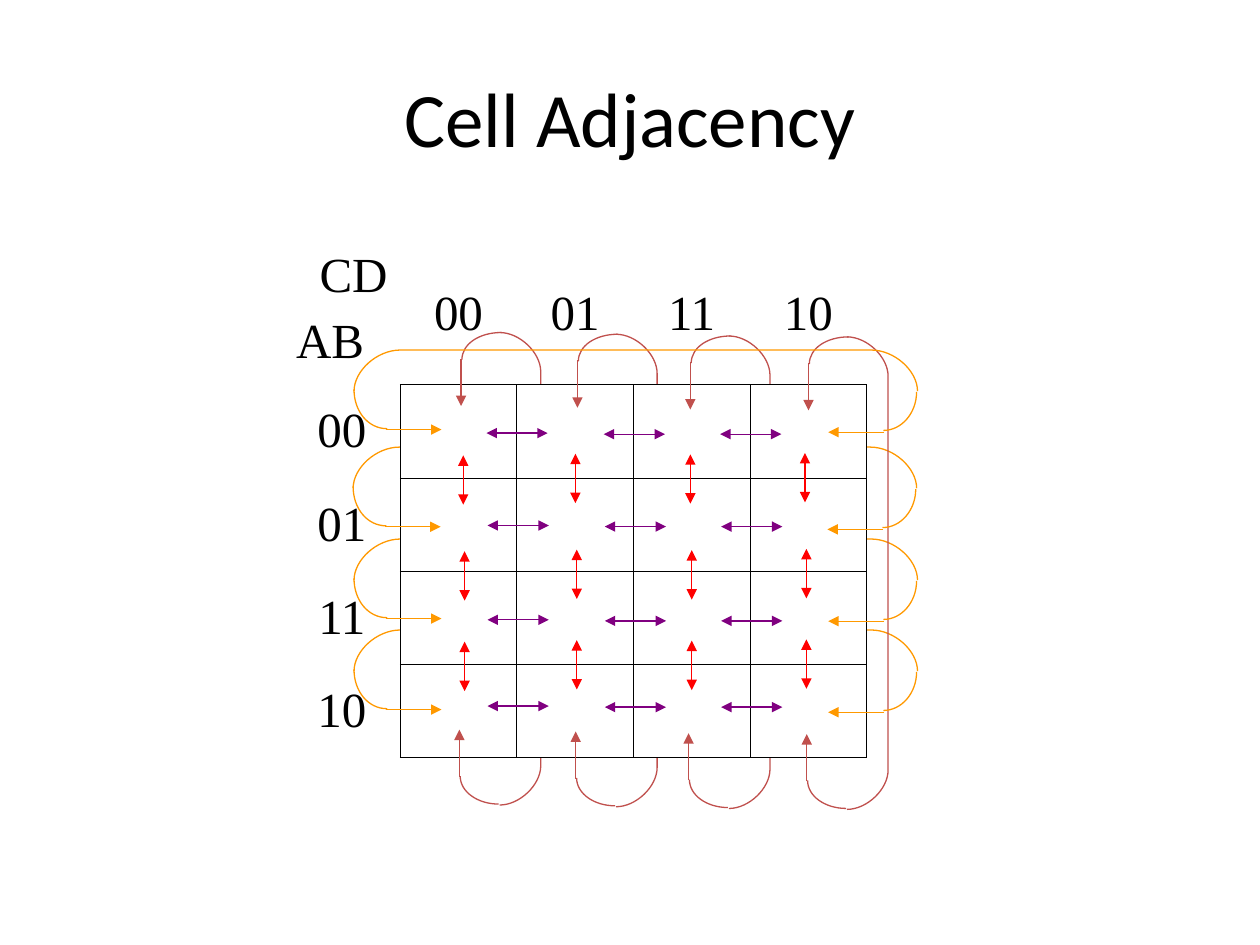
from pptx import Presentation
from pptx.dml.color import RGBColor
from pptx.enum.shapes import MSO_CONNECTOR
from pptx.enum.text import MSO_ANCHOR, PP_ALIGN
from pptx.oxml.ns import qn
from pptx.util import Pt
from lxml.etree import SubElement

STRAIGHT = MSO_CONNECTOR.STRAIGHT
MIDDLE, TOP = MSO_ANCHOR.MIDDLE, MSO_ANCHOR.TOP
LEFT, CENTER, RIGHT = PP_ALIGN.LEFT, PP_ALIGN.CENTER, PP_ALIGN.RIGHT
INK = {"black": "000000", "white": "FFFFFF", "wrap": "FF9900",
       "loop": "C0504D", "across": "800080", "down": "FF0000"}
PLAIN_STYLE = "{2D5ABB26-0587-4C30-8999-92F81FD0307C}"
CODES = ["00", "01", "11", "10"]


class Sketch:
    """Draws on one slide, with all lengths in points."""

    def __init__(self, slide, width=0.75):
        self.slide = slide
        self.width = width

    def color(self, name):
        return RGBColor.from_string(INK[name])

    def stroke(self, line, ink):
        line.color.rgb = self.color(ink)
        line.width = Pt(self.width)

    def letter(self, para, text, font, size, align):
        para.text = text
        para.alignment = align
        para.font.name, para.font.size = font, Pt(size)
        para.font.color.rgb = self.color("black")

    def title(self, text, x, y, w, h):
        frame = self.slide.shapes.add_textbox(Pt(x), Pt(y), Pt(w), Pt(h)).text_frame
        frame.word_wrap = True
        frame.vertical_anchor = MIDDLE
        self.letter(frame.paragraphs[0], text, "Calibri", 44, CENTER)

    def arrow(self, start, end, ink, both=False):
        link = self.slide.shapes.add_connector(
            STRAIGHT, *(Pt(v) for v in (*start, *end)))
        self.stroke(link.line, ink)
        props = link._element.spPr
        line = props.find(qn("a:ln"))
        if both:
            SubElement(line, qn("a:headEnd"), type="triangle")
        SubElement(line, qn("a:tailEnd"), type="triangle")
        SubElement(props, qn("a:effectLst"))

    def curve(self, base, start, parts, ink):
        """Each part is a list of points: one for a line, three for a Bezier arc."""
        def place(point):
            return tuple(Pt(a + b) for a, b in zip(base, point))

        build = self.slide.shapes.build_freeform(*place(start))
        build.add_line_segments([place(p) for part in parts for p in part], close=False)
        shape = build.convert_to_shape()
        shape.shadow.inherit = False
        shape.fill.background()
        self.stroke(shape.line, ink)
        steps = list(shape._element.iter(qn("a:lnTo")))
        for part in parts:
            group, steps = steps[:len(part)], steps[len(part):]
            if len(group) == 3:
                group[0].tag = qn("a:cubicBezTo")
                for step in group[1:]:
                    group[0].append(step[0])
                    step.getparent().remove(step)

    def border(self, cell, sides):
        props = cell._tc.get_or_add_tcPr()
        for side in sides:
            line = SubElement(props, qn("a:ln" + side), w=str(Pt(0.45)))
            fill = SubElement(line, qn("a:solidFill"))
            SubElement(fill, qn("a:srgbClr"), val=INK["black"])

    def label(self, cell, *items):
        frame = cell.text_frame
        for i, (text, align) in enumerate(items):
            para = frame.add_paragraph() if i else frame.paragraphs[0]
            self.letter(para, text, "Times New Roman", 28, align)
            para.space_before = Pt(7)

    def grid(self, x, y, col, head, row):
        """Karnaugh map with code labels along the top and left."""
        size = len(CODES) + 1
        frame = self.slide.shapes.add_table(
            size, size, Pt(x), Pt(y), Pt(col * size), Pt(head + row * (size - 1)))
        table = frame.table
        table.first_row = table.horz_banding = False
        table._tbl.tblPr.find(qn("a:tableStyleId")).text = PLAIN_STYLE
        for r in range(size):
            table.columns[r].width = Pt(col)
            table.rows[r].height = Pt(row if r else head)
            for c in range(size):
                cell = table.cell(r, c)
                cell.vertical_anchor = MIDDLE if r or c else TOP
                if r and c:
                    self.border(cell, "LRTB")
                    cell.fill.solid()
                    cell.fill.fore_color.rgb = self.color("white")
                    continue
                if r or c:
                    self.border(cell, "R" if r else "B")
                    self.label(cell, (CODES[max(r, c) - 1], CENTER))
                else:
                    self.label(cell, ("CD", RIGHT), ("AB", LEFT))
                cell.fill.background()

    def loop(self, base):
        """Curves that join the top and bottom cells of a column."""
        self.curve(base, (0, 0), [
            [(11.5, 0), (23.5, 11.5), (23.5, 22.5)], [(23.5, 247.5)],
            [(23.5, 258.5), (11.5, 270), (0, 270)]], "loop")
        self.curve(base, (1, 0), [[(-11.5, 0), (-21.5, 6.5), (-21.5, 15.5)]], "loop")
        self.curve(base, (-0.5, 269.5),
                   [[(-12.5, 269.5), (-22.5, 262.5), (-22.5, 253.5)]], "loop")

    def tips(self, base, pairs, ink):
        x, y = base
        for (a, b), (c, d) in pairs:
            self.arrow((x + a, y + b), (x + c, y + d), ink)

    def arch(self, base):
        self.curve(base, (0, 23.5), [
            [(0, 12), (13, 0), (26.5, 0)], [(295.5, 0)],
            [(309, 0), (322, 12), (322, 23.5)]], "wrap")

    def hooks(self, base):
        """Ends of the arch that joins the first and last cells of a row."""
        self.curve(base, (0, 22.5), [[(0, 35), (8, 45), (19, 45)]], "wrap")
        self.curve(base, (321.5, 24), [[(321.5, 36), (313, 46), (302.5, 46)]], "wrap")
        self.tips(base, [((18.5, 45.5), (50, 45.5)), ((303, 47), (271, 47))], "wrap")


def main():
    deck = Presentation()
    deck.slide_width, deck.slide_height = Pt(720), Pt(540)
    art = Sketch(deck.slides.add_slide(deck.slide_layouts[6]))
    cols = [(285.5, 190), (352, 191), (416.5, 192), (484, 192.5)]
    rows = [(202.3, 200), (201.8, 255.5), (202.3, 308), (202.3, 360)]

    for base in rows[1:]:
        art.arch(base)
    for base in cols[:3]:
        art.loop(base)
    art.title("Cell Adjacency", 36, 21.6, 648, 90)
    art.grid(162, 138.4, 66.66, 81.4, 53.3)
    art.loop(cols[3])
    art.arch(rows[0])

    for base in cols:
        art.tips(base, [((-23, 254), (-23, 227)), ((-22, 15), (-22, 42))], "loop")
    for base in rows:
        art.hooks(base)

    for r, y in enumerate([247.5, 300.3, 354.2, 403.5]):
        for c, x in enumerate([278, 345, 411.5]):
            left, mid = x + 0.6 * (r > 0), y + 0.6 * (c > 0)
            art.arrow((left, mid), (left + 35, mid), "across", both=True)
    for x, lift in [(264.7, 0), (328.8, 0.9), (394.5, 0.6), (460, 1.3)]:
        for r, y in enumerate([260.2, 315, 366.7]):
            mid, top = x + 0.8 * (r > 0), y - lift
            art.arrow((mid, top), (mid, top + 28.2), "down", both=True)
    deck.save("out.pptx")


if __name__ == "__main__":
    main()
